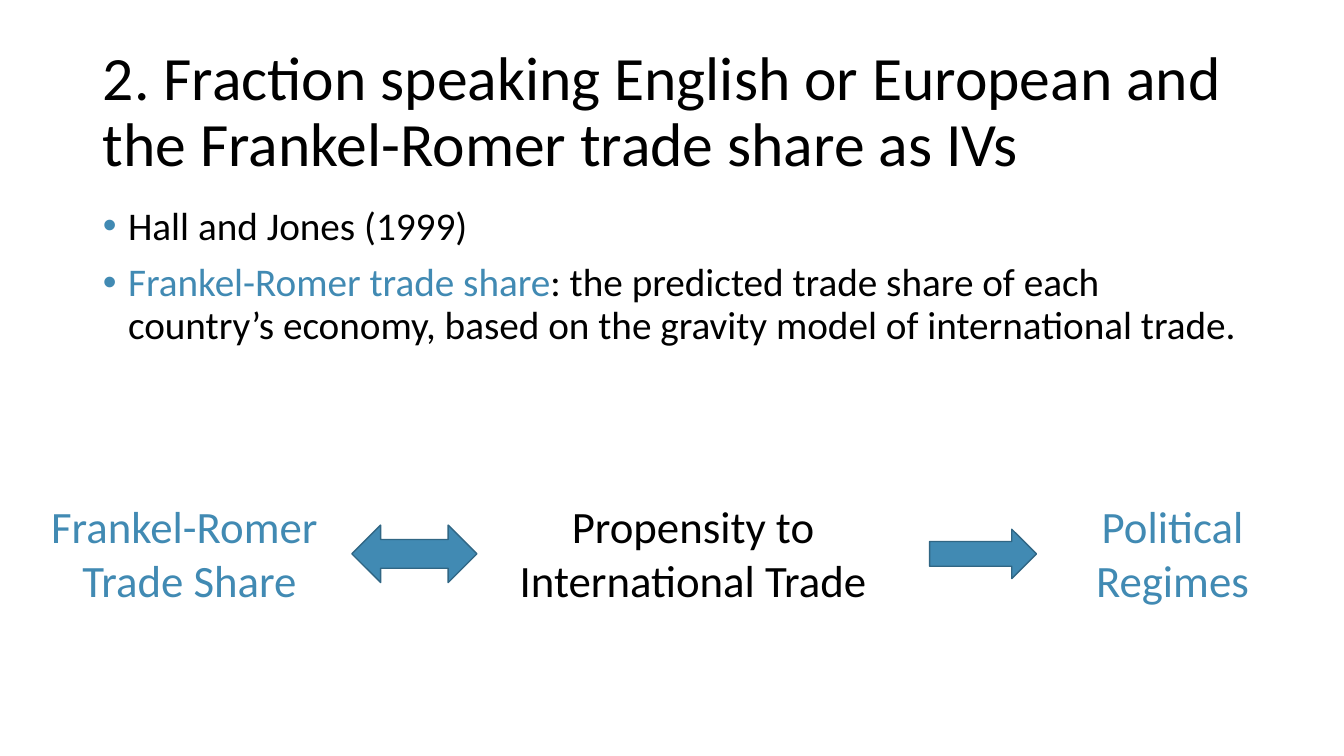
from dataclasses import dataclass

import pptx
import pptx.dml.color
import pptx.enum.shapes
import pptx.enum.text
import pptx.util
from lxml import etree
from pptx.oxml.ns import qn
from pptx.util import Inches, Pt

RGBColor = pptx.dml.color.RGBColor
MSO_SHAPE = pptx.enum.shapes.MSO_SHAPE
PP_ALIGN = pptx.enum.text.PP_ALIGN
MSO_ANCHOR = pptx.enum.text.MSO_ANCHOR
MSO_AUTO_SIZE = pptx.enum.text.MSO_AUTO_SIZE


@dataclass(frozen=True)
class Theme:
    font: str = "Calibri"
    text: str = "000000"
    accent: str = "418AB3"
    outline: str = "306684"
    title_size: int = 44
    body_size: int = 28
    label_size: int = 32


THEME = Theme()


def place(shape, left, top, width, height):
    shape.left, shape.top = Inches(left), Inches(top)
    shape.width, shape.height = Inches(width), Inches(height)


def format_run(run, size, color):
    run.font.name = THEME.font
    run.font.size = Pt(size)
    run.font.color.rgb = RGBColor.from_string(color)


def add_bullet(paragraph):
    """Give the paragraph a hanging accent-coloured bullet."""
    properties = paragraph._p.get_or_add_pPr()
    properties.set("marL", str(Inches(0.25)))
    properties.set("indent", str(-Inches(0.25)))
    color = etree.SubElement(properties, qn("a:buClr"))
    etree.SubElement(color, qn("a:srgbClr"), val=THEME.accent)
    etree.SubElement(properties, qn("a:buFont"), typeface="Arial")
    etree.SubElement(properties, qn("a:buChar"), char="•")


def fill_title(title, text):
    place(title, 0.92, 0.4, 11.5, 1.45)
    frame = title.text_frame
    frame.text = text
    frame.word_wrap = True
    frame.auto_size = MSO_AUTO_SIZE.NONE
    frame.vertical_anchor = MSO_ANCHOR.MIDDLE
    paragraph = frame.paragraphs[0]
    paragraph.alignment = PP_ALIGN.LEFT
    paragraph.line_spacing = 0.9
    format_run(paragraph.runs[0], THEME.title_size, THEME.text)


def fill_body(body, items):
    """Write each item, a list of (text, colour) pairs, as one bullet."""
    place(body, 0.92, 2, 11.5, 4.76)
    frame = body.text_frame
    frame.word_wrap = True
    frame.auto_size = MSO_AUTO_SIZE.NONE
    for index, item in enumerate(items):
        paragraph = frame.add_paragraph() if index else frame.paragraphs[0]
        add_bullet(paragraph)
        paragraph.line_spacing = 0.9
        paragraph.space_before = Pt(10 if index else 0)
        for text, color in item:
            run = paragraph.add_run()
            run.text = text
            format_run(run, THEME.body_size, color)


def add_label(slide, left, width, text, color):
    box = slide.shapes.add_textbox(
        Inches(left), Inches(4.9), Inches(width), Inches(1.18))
    frame = box.text_frame
    frame.text = text
    frame.word_wrap = True
    frame.auto_size = MSO_AUTO_SIZE.SHAPE_TO_FIT_TEXT
    for paragraph in frame.paragraphs:
        paragraph.alignment = PP_ALIGN.CENTER
        format_run(paragraph.runs[0], THEME.label_size, color)


def add_arrow(slide, kind, left, top, width, height):
    arrow = slide.shapes.add_shape(
        kind, Inches(left), Inches(top), Inches(width), Inches(height))
    arrow.shadow.inherit = False
    arrow.fill.solid()
    arrow.fill.fore_color.rgb = RGBColor.from_string(THEME.accent)
    arrow.line.color.rgb = RGBColor.from_string(THEME.outline)
    arrow.line.width = Pt(1)


def main():
    presentation = pptx.Presentation()
    presentation.slide_width = Inches(13.33)
    presentation.slide_height = Inches(7.5)
    slide = presentation.slides.add_slide(presentation.slide_layouts[1])

    fill_title(slide.shapes.title,
               "2. Fraction speaking English or European and "
               "the Frankel-Romer trade share as IVs")
    fill_body(slide.placeholders[1], [
        [("Hall and Jones (1999)", THEME.text)],
        [("Frankel-Romer trade share", THEME.accent),
         (": the predicted trade share of each country’s economy, "
          "based on the gravity model of international trade.", THEME.text)],
    ])

    add_label(slide, 0, 3.76, "Frankel-Romer \nTrade Share", THEME.accent)
    add_label(slide, 4.34, 5.07, "Propensity to\nInternational Trade",
              THEME.text)
    add_label(slide, 9.75, 3.76, "Political\nRegimes", THEME.accent)
    add_arrow(slide, MSO_SHAPE.RIGHT_ARROW, 9.22, 5.25, 1.06, 0.49)
    add_arrow(slide, MSO_SHAPE.LEFT_RIGHT_ARROW, 3.49, 5.21, 1.24, 0.57)

    presentation.save("out.pptx")


if __name__ == "__main__":
    main()
